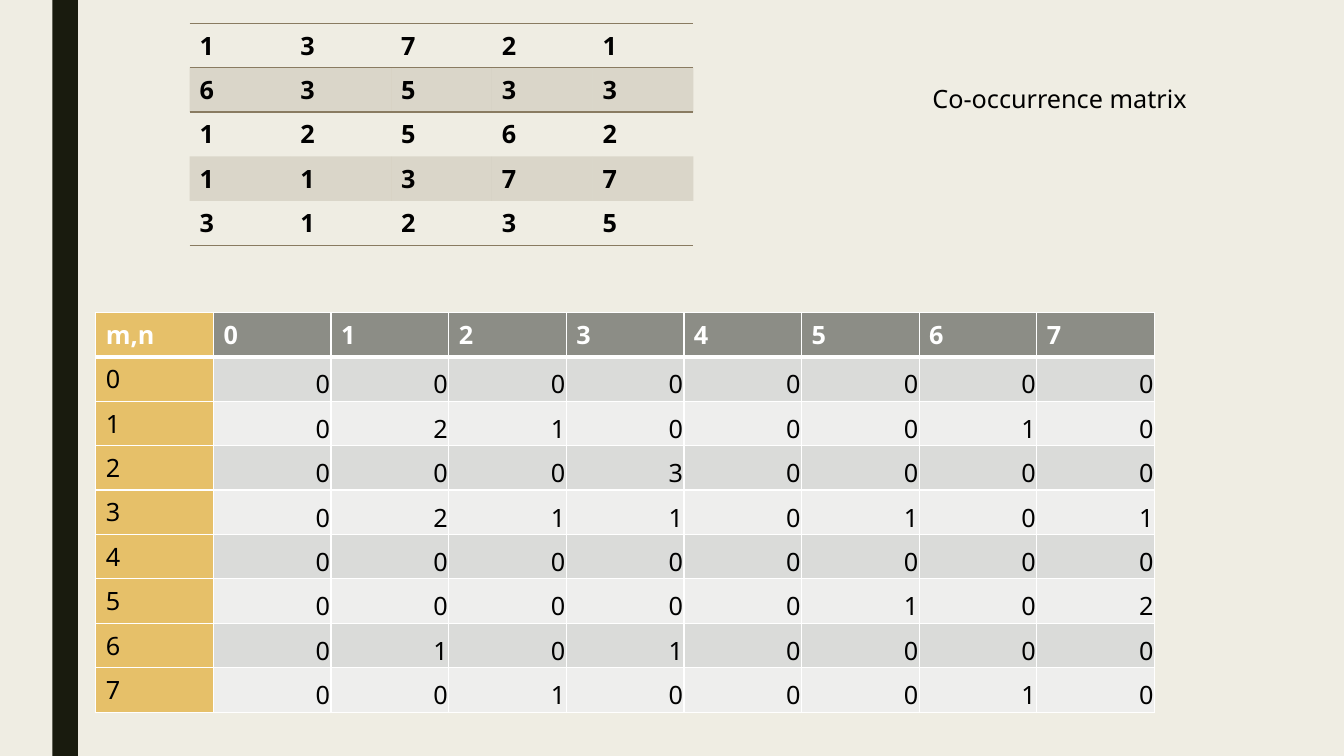
from lxml import etree
from pptx import Presentation
from pptx.dml.color import RGBColor
from pptx.enum.shapes import MSO_SHAPE
from pptx.enum.text import MSO_ANCHOR, PP_ALIGN
from pptx.oxml.ns import qn
from pptx.util import Inches, Pt

RECT = MSO_SHAPE.RECTANGLE
LOW = MSO_ANCHOR.BOTTOM
RIGHT = PP_ALIGN.RIGHT
WIDE, HIGH = Inches(13.33), Inches(7.5)
PLAIN = "{2D5ABB26-0587-4C30-8999-92F81FD0307C}"
BLACK, WHITE = "000000", "FFFFFF"
DARK, PAPER, BROWN = "191B0E", "EFEDE3", "897B61"
GOLD, GRAY, BANDS = "E6C069", "8C8D86", ("EEEEED", "DADBD9")

PIXELS = ["13721", "63533", "12562", "11377", "31235"]
COUNTS = ["00000000", "02100010", "00030000", "02110101",
          "00000000", "00000102", "01010000", "00100010"]
TIGHT = {"margin_left": Inches(0.01), "margin_right": Inches(0.01),
         "margin_top": Inches(0.01), "margin_bottom": 0,
         "vertical_anchor": LOW}


def paint(color, tone):
    color.rgb = RGBColor.from_string(tone)


def put(target, form):
    for name, value in form.items():
        setattr(target, name, value)


def scale(box):
    return [round(share * side / 100)
            for share, side in zip(box, (WIDE, HIGH, WIDE, HIGH))]


def write(frame, text, tone=BLACK, bold=False, align=None):
    line = frame.paragraphs[0]
    line.alignment = align
    run = line.add_run()
    run.text = text
    put(run.font, {"name": "Noto Sans", "size": Pt(18), "bold": bold})
    paint(run.font.color, tone)


def shade(cell, tone, alpha=None):
    cell.fill.solid()
    paint(cell.fill.fore_color, tone)
    if alpha:
        color = next(cell._tc.tcPr.iter(qn("a:srgbClr")))
        etree.SubElement(color, qn("a:alpha"), val=str(alpha * 1000))


def edge(cell, tone, sides):
    props = cell._tc.get_or_add_tcPr()
    for spot, (side, width) in enumerate(sides.items()):
        line = etree.Element(qn("a:ln" + side), w=str(Pt(width)))
        fill = etree.SubElement(line, qn("a:solidFill"))
        etree.SubElement(fill, qn("a:srgbClr"), val=tone)
        props.insert(spot, line)


def grid(slide, box, rows, cols):
    frame = slide.shapes.add_table(rows, cols, *scale(box))
    next(frame.element.iter(qn("a:tableStyleId"))).text = PLAIN
    table = frame.table
    put(table, {"first_row": False, "horz_banding": False})
    return table


def side_bar(slide, box):
    bar = slide.shapes.add_shape(RECT, *scale(box))
    bar.shadow.inherit = False
    bar.fill.solid()
    paint(bar.fill.fore_color, DARK)
    bar.line.fill.background()


def count_table(slide, box):
    size = len(COUNTS) + 1
    table = grid(slide, box, size, size)
    heads = [str(level) for level in range(size - 1)]
    rows = [["m,n", *heads]]
    rows += [[head, *line] for head, line in zip(heads, COUNTS)]
    for r, row in enumerate(rows):
        for c, text in enumerate(row):
            cell = table.cell(r, c)
            shade(cell, GOLD if c == 0 else GRAY if r == 0 else BANDS[r % 2])
            edge(cell, WHITE, {"L": 1, "R": 1, "T": 3 if r == 1 else 1,
                               "B": 3 if r == 0 else 1})
            inner = r > 0 and c > 0
            if inner:
                put(cell, TIGHT)
            write(cell.text_frame, text, BLACK if r else WHITE, r == 0,
                  RIGHT if inner else None)


def pixel_table(slide, box):
    last = len(PIXELS) - 1
    table = grid(slide, box, len(PIXELS), len(PIXELS[0]))
    rules = {0: {"T": 1, "B": 1}, 1: {"T": 1}, last: {"B": 1}}
    for r, row in enumerate(PIXELS):
        for c, text in enumerate(row):
            cell = table.cell(r, c)
            if r % 2:
                shade(cell, BROWN, 20)
            edge(cell, BROWN, rules.get(r, {}))
            write(cell.text_frame, text, bold=True)


def label(slide, box):
    frame = slide.shapes.add_textbox(*scale(box)).text_frame
    frame.word_wrap = True
    write(frame, "Co-occurrence matrix")


deck = Presentation()
put(deck, {"slide_width": WIDE, "slide_height": HIGH})
slide = deck.slides.add_slide(deck.slide_layouts[6])
back = slide.background.fill
back.solid()
paint(back.fore_color, PAPER)
side_bar(slide, (3.9, 0, 1.9, 100))
count_table(slide, (7.13, 41.33, 78.77, 48.67))
pixel_table(slide, (14.1, 3.07, 37.5, 27.07))
label(slide, (68.64, 10.4, 30.23, 5.33))
deck.save("out.pptx")
